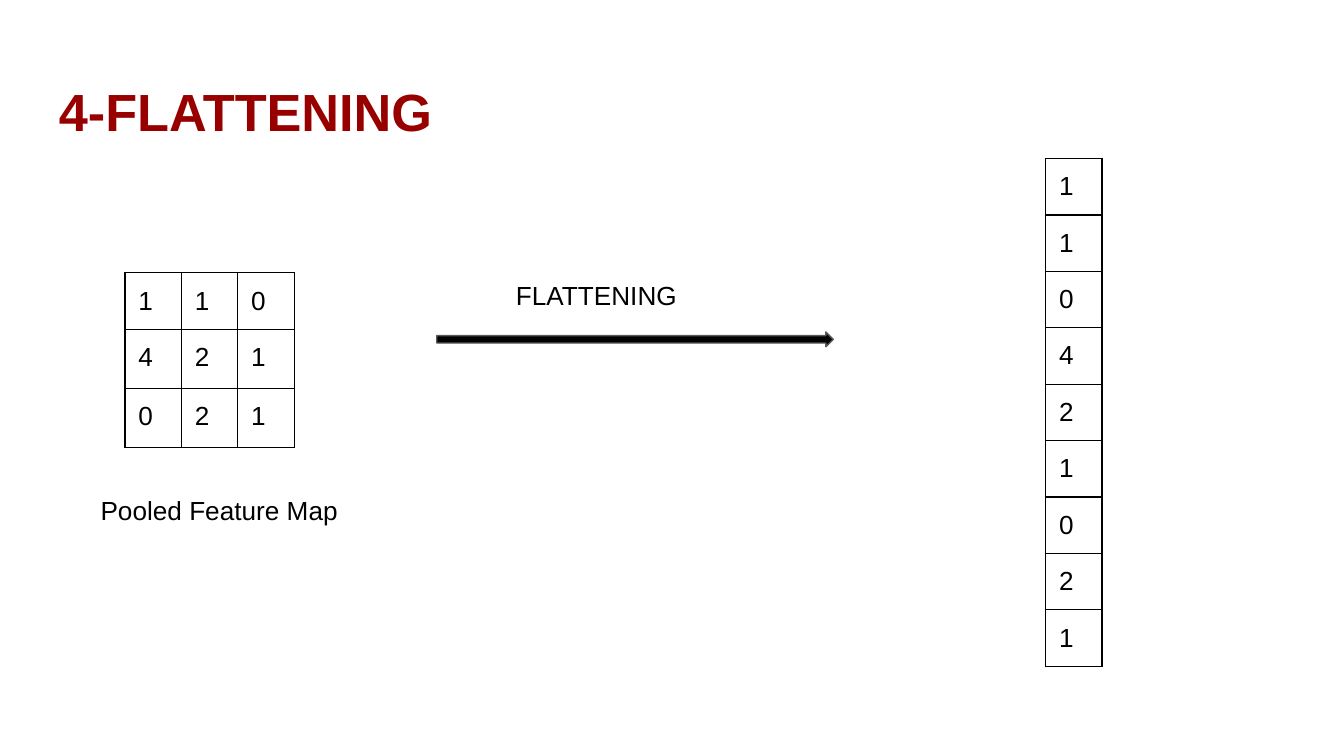
from dataclasses import dataclass

from lxml import etree
from pptx import Presentation
from pptx.dml.color import RGBColor
from pptx.enum import shapes, text
from pptx.oxml import ns
from pptx.util import Inches, Pt


@dataclass(frozen=True)
class Theme:
    font: str = "Arial"
    title_size: int = 28
    body_size: int = 14
    heading: str = "980000"
    ink: str = "000000"
    outline: str = "595959"
    line_width: float = 0.75
    inset: float = 0.1
    cell_bottom_inset: float = 0.08


THEME = Theme()
CELL = 0.42
FEATURE_MAP = [[1, 1, 0], [4, 2, 1], [0, 2, 1]]


def style_paragraph(paragraph, size, color, bold=False):
    font = paragraph.font
    font.name, font.size, font.bold = THEME.font, Pt(size), bold
    font.color.rgb = RGBColor.from_string(color)


def add_label(slide, box, wording, size=THEME.body_size, color=THEME.ink, bold=False):
    label = slide.shapes.add_textbox(*map(Inches, box)).text_frame
    label.word_wrap = True
    label.vertical_anchor = text.MSO_ANCHOR.TOP
    label.margin_left = label.margin_right = Inches(THEME.inset)
    label.margin_top = label.margin_bottom = Inches(THEME.inset)
    label.text = wording
    style_paragraph(label.paragraphs[0], size, color, bold)


def add_borders(cell):
    properties = cell._tc.get_or_add_tcPr()
    # Border lines must come before the cell's fill
    for position, side in enumerate(("lnL", "lnR", "lnT", "lnB")):
        line = etree.Element(ns.qn(f"a:{side}"), w=str(Pt(THEME.line_width)))
        fill = etree.SubElement(line, ns.qn("a:solidFill"))
        etree.SubElement(fill, ns.qn("a:srgbClr"), val=THEME.ink)
        properties.insert(position, line)


def add_matrix(slide, left, top, values, row_heights):
    """Bordered grid of numbers with equal columns."""
    columns = len(values[0])
    box = (left, top, CELL * columns, sum(row_heights))
    matrix = slide.shapes.add_table(len(values), columns, *map(Inches, box)).table
    matrix.first_row = matrix.horz_banding = False
    for column in matrix.columns:
        column.width = Inches(CELL)
    for row, height, numbers in zip(matrix.rows, row_heights, values):
        row.height = Inches(height)
        for cell, number in zip(row.cells, numbers):
            cell.text = str(number)
            cell.margin_left = cell.margin_right = cell.margin_top = Inches(THEME.inset)
            cell.margin_bottom = Inches(THEME.cell_bottom_inset)
            cell.fill.background()
            style_paragraph(cell.text_frame.paragraphs[0], THEME.body_size, THEME.ink)
            add_borders(cell)


def add_feature_map(slide, left, top):
    add_matrix(slide, left + 0.28, top, FEATURE_MAP, [CELL, 0.44, 0.44])
    add_label(slide, (left, top + 1.55, 2.67, 0.38), "Pooled Feature Map")


def add_flattening_step(slide, left, top):
    add_label(slide, (left + 0.49, top, 2.48, 0.38), "FLATTENING")
    arrow = slide.shapes.add_shape(
        shapes.MSO_SHAPE.RIGHT_ARROW, *map(Inches, (left, top + 0.49, 2.95, 0.11)))
    arrow.shadow.inherit = False
    arrow.fill.solid()
    arrow.fill.fore_color.rgb = RGBColor.from_string(THEME.ink)
    arrow.line.color.rgb = RGBColor.from_string(THEME.outline)
    arrow.line.width = Pt(THEME.line_width)


def add_flat_vector(slide, left, top):
    vector = [[number] for row in FEATURE_MAP for number in row]
    add_matrix(slide, left, top, vector, [CELL] * len(vector))


def main():
    deck = Presentation()
    deck.slide_width = Inches(10)
    deck.slide_height = deck.slide_width * 9 // 16
    slide = deck.slides.add_slide(deck.slide_layouts[6])

    # Heading
    add_label(slide, (0.34, 0.49, 9.32, 0.63), "4-FLATTENING",
              THEME.title_size, THEME.heading, bold=True)
    # Feature map, flattening step and resulting vector, left to right
    add_feature_map(slide, 0.65, 2.03)
    add_flattening_step(slide, 3.25, 1.98)
    add_flat_vector(slide, 7.78, 1.18)

    deck.save("out.pptx")


if __name__ == "__main__":
    main()
